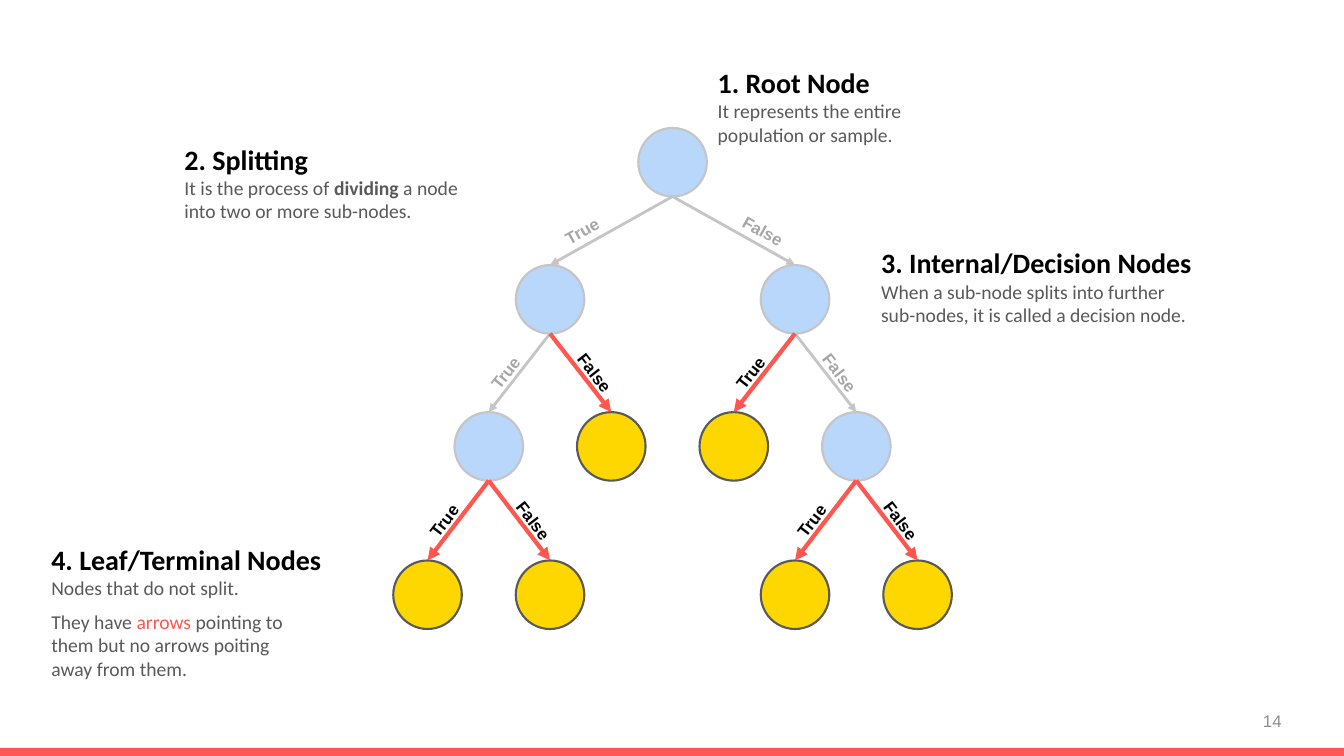
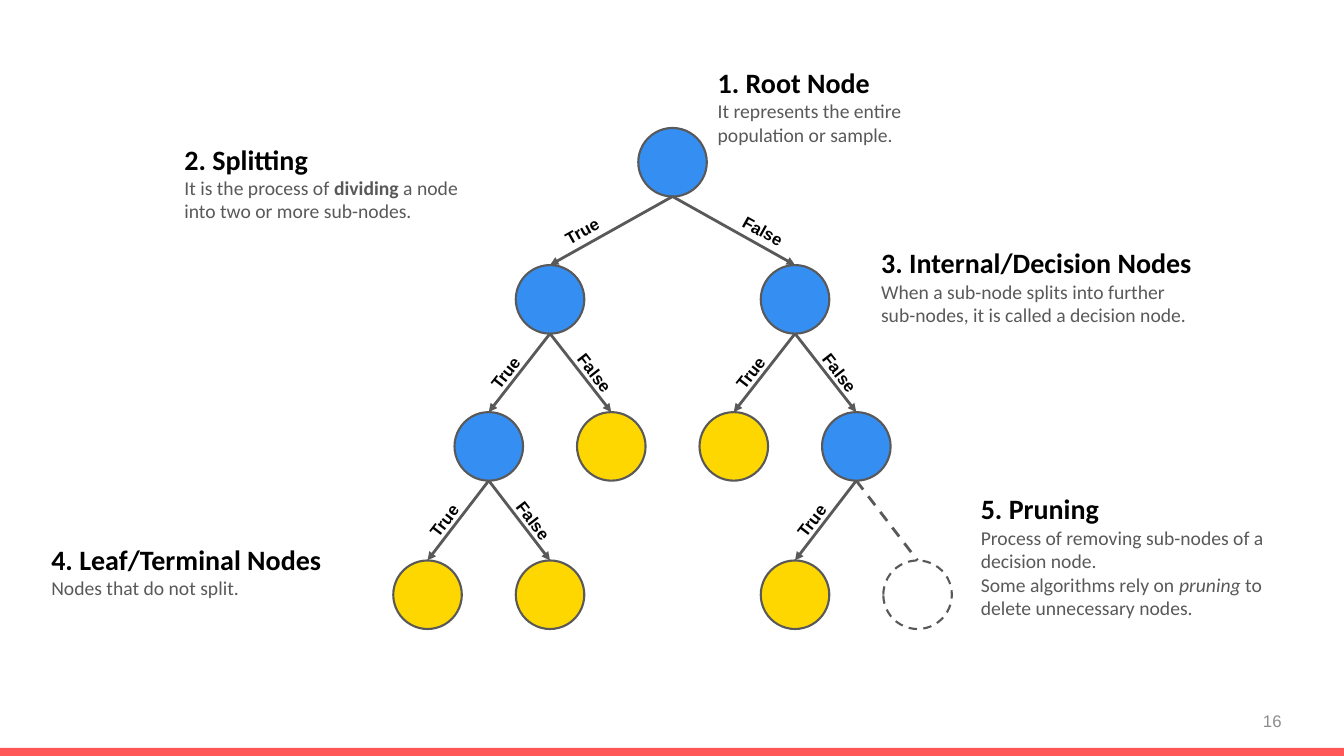
import math

from lxml import etree
from pptx import Presentation
from pptx import util as u
from pptx.dml.color import RGBColor
from pptx.enum import dml, shapes, text
from pptx.oxml import ns

WIDTH, HEIGHT = 13.33, 7.5
COL, ROW = WIDTH / 100, HEIGHT / 100

COLORS = {
    "band": "FF5657",
    "accent": "FF564F",
    "decision": "358EF2",
    "leaf": "FFD700",
    "gray": "595959",
    "number": "8C8C8C",
    "black": "000000",
    "white": "FFFFFF",
}

HEADING = {"name": "Calibri", "size": u.Pt(20), "bold": True, "color": "black"}
BODY = {"name": "Calibri", "size": u.Pt(14), "bold": False, "color": "gray"}
BRANCH = {"name": "Arial", "size": u.Pt(12), "bold": True, "color": "black"}
PAGE = {"name": "Arial", "size": u.Pt(12), "color": "number"}
GROWING = {"word_wrap": True, "auto_size": text.MSO_AUTO_SIZE.SHAPE_TO_FIT_TEXT}
UNWRAPPED = GROWING | {"word_wrap": False}
MIDDLE = {"word_wrap": True, "vertical_anchor": text.MSO_ANCHOR.MIDDLE}

BAND_BOX = (0, 98.93, 100, 1.07)
PAGE_BOX = (73.59, 92.67, 22.51, 5.33)
TREE_BOX = (29.26, 16.93, 41.56, 66.27)

NODE_SIZE = 5.1 * COL
TREE_COLUMNS = 8
LEVELS = (0, 0.317, 0.657, 1)
NODES = {
    "root": (4, 0),
    "left": (2, 1),
    "right": (6, 1),
    "left left": (1, 2),
    "right right": (7, 2),
    "left right": (3, 2),
    "right left": (5, 2),
    "left left left": (0, 3),
    "left left right": (2, 3),
    "right right left": (6, 3),
    "right right right": (8, 3),
}
DECISIONS = ("root", "left", "right", "left left", "right right")
LEAVES = tuple(name for name in NODES if name not in DECISIONS)
PRUNED = "right right right"

NOTES = [
    ((52.66, 8, 16.13, 12.13), "1. Root Node",
     [[("It represents the entire population or sample.", {})]]),
    ((12.98, 18.13, 23.03, 12.13), "2. Splitting",
     [[("It is the process of ", {}), ("dividing", {"bold": True}),
       (" a node into two or more sub-nodes.", {})]]),
    ((64.82, 31.87, 25.21, 12.13), "3. Internal/Decision Nodes",
     [[("When a sub-node splits into further sub-nodes, it is called a decision node.", {})]]),
    ((3.08, 71.07, 25.21, 8.93), "4. Leaf/Terminal Nodes",
     [[("Nodes that do not split.", {})]]),
]
ARROWS_NOTE = ((3.08, 80, 19.35, 10.8), None,
               [[("They have ", {}), ("arrows ", {"color": "accent"}),
                 ("pointing to them but no arrows poiting away from them.", {})]])
PRUNING_NOTE = ((72.24, 64.4, 25.21, 18.4), "5. Pruning",
                [[("Process of removing sub-nodes of a decision node.", {})],
                 [("Some algorithms rely on ", {}), ("pruning", {"italic": True}),
                  (" to delete unnecessary nodes.", {})]])


def rgb(color):
    return RGBColor.from_string(COLORS[color])


def on_grid(box):
    left, top, width, height = box
    return left * COL, top * ROW, width * COL, height * ROW


def inches(box):
    return [u.Inches(length) for length in box]


def set_values(target, values):
    for name, value in values.items():
        if name == "color":
            target.color.rgb = rgb(value)
        else:
            setattr(target, name, value)


def add_text(slide, box, paragraphs, frame_values, align=text.PP_ALIGN.LEFT):
    area = slide.shapes.add_textbox(*inches(box))
    frame = area.text_frame
    set_values(frame, frame_values)
    for index, runs in enumerate(paragraphs):
        paragraph = frame.add_paragraph() if index else frame.paragraphs[0]
        paragraph.alignment = align
        for words, values in runs:
            run = paragraph.add_run()
            run.text = words
            set_values(run.font, values)
    return area


def add_filled(slide, kind, box, color=None):
    shape = slide.shapes.add_shape(kind, *inches(box))
    shape.shadow.inherit = False
    shape.line.fill.background()
    if color:
        shape.fill.solid()
        shape.fill.fore_color.rgb = rgb(color)
    else:
        shape.fill.background()
    return shape


def set_line(line, color, points, dashed=False):
    line.color.rgb = rgb(color)
    line.width = u.Pt(points)
    if dashed:
        line.dash_style = dml.MSO_LINE.DASH


def node_box(tree, name):
    left, top, width, height = tree
    column, level = NODES[name]
    return (left + column * (width - NODE_SIZE) / TREE_COLUMNS,
            top + LEVELS[level] * (height - NODE_SIZE), NODE_SIZE, NODE_SIZE)


def add_node(slide, tree, name, color):
    node = add_filled(slide, shapes.MSO_SHAPE.OVAL, node_box(tree, name), color)
    set_line(node.line, "gray", 1.5, dashed=color is None)
    return node


def add_branch(slide, parent, child, color, points, pruned):
    link = slide.shapes.add_connector(
        shapes.MSO_CONNECTOR.STRAIGHT, parent.left + parent.width // 2,
        parent.top + parent.height, child.left + child.width // 2, child.top)
    joint = etree.SubElement(link._element.nvCxnSpPr.cNvCxnSpPr, ns.qn("a:stCxn"))
    joint.set("id", str(parent.shape_id))
    joint.set("idx", "4")
    link.end_connect(child, 0)
    set_line(link.line, color, points, pruned)
    if not pruned:
        head = etree.SubElement(link.line._get_or_add_ln(), ns.qn("a:tailEnd"))
        head.set("type", "triangle")
    etree.SubElement(link._element.spPr, ns.qn("a:effectLst"))
    return link


def add_branch_label(slide, link, below_root):
    run = u.Emu(link.end_x - link.begin_x).inches
    rise = u.Emu(link.end_y - link.begin_y).inches
    side = math.copysign(1, run)
    gap = 0.29 if below_root else 0.14
    width, height = 0.66, 0.3
    center_x = u.Emu(link.begin_x).inches + run / 2 + side * gap
    center_y = u.Emu(link.begin_y).inches + rise / 2
    words = "True" if side < 0 else "False"
    label = add_text(slide, (center_x - width / 2, center_y - height / 2, width, height),
                     [[(words, BRANCH)]], UNWRAPPED, text.PP_ALIGN.CENTER)
    label.rotation = side * math.degrees(math.atan2(rise, abs(run)))


def add_veil(slide, tree):
    left, top, width, height = tree
    side, edge = 7 * COL, 1.4 * ROW
    veil = add_filled(slide, shapes.MSO_SHAPE.RECTANGLE,
                      (left - side, top - edge, width + 2 * side, height + 2 * edge), "white")
    color = veil._element.spPr.find(".//" + ns.qn("a:srgbClr"))
    etree.SubElement(color, ns.qn("a:alpha")).set("val", "65000")


def add_tree(slide, tree, leaf_focus=False, pruned=None):
    placed = {}
    parents = {name: name.rpartition(" ")[0] or "root" for name in NODES if name != "root"}
    leaf_link = ("accent", 3) if leaf_focus else ("gray", 2)
    for names, color, link_style in ((DECISIONS, "decision", ("gray", 2)),
                                     (LEAVES, "leaf", leaf_link)):
        if leaf_focus and names is LEAVES:
            add_veil(slide, tree)
        for name in names:
            placed[name] = add_node(slide, tree, name, None if name == pruned else color)
        for name in names:
            if name not in parents:
                continue
            parent = parents[name]
            link = add_branch(slide, placed[parent], placed[name], *link_style, name == pruned)
            if name != pruned:
                add_branch_label(slide, link, parent == "root")


def add_note(slide, box, heading, body):
    paragraphs = [[(heading, HEADING)]] if heading else []
    paragraphs += [[(words, BODY | values) for words, values in runs] for runs in body]
    add_text(slide, box, paragraphs, GROWING)


def add_footer(slide, number):
    add_filled(slide, shapes.MSO_SHAPE.RECTANGLE, on_grid(BAND_BOX), "band")
    add_text(slide, on_grid(PAGE_BOX), [[(number, PAGE)]], MIDDLE, text.PP_ALIGN.RIGHT)


def add_tree_slide(deck, number, extra_note, **tree_options):
    slide = deck.slides.add_slide(deck.slide_layouts.get_by_name("Blank"))
    add_footer(slide, number)
    add_tree(slide, on_grid(TREE_BOX), **tree_options)
    for box, heading, body in NOTES + [extra_note]:
        add_note(slide, on_grid(box), heading, body)


def main():
    deck = Presentation()
    set_values(deck, {"slide_width": u.Inches(WIDTH), "slide_height": u.Inches(HEIGHT)})
    add_tree_slide(deck, "14", ARROWS_NOTE, leaf_focus=True)
    add_tree_slide(deck, "16", PRUNING_NOTE, pruned=PRUNED)
    deck.save("out.pptx")


if __name__ == "__main__":
    main()
